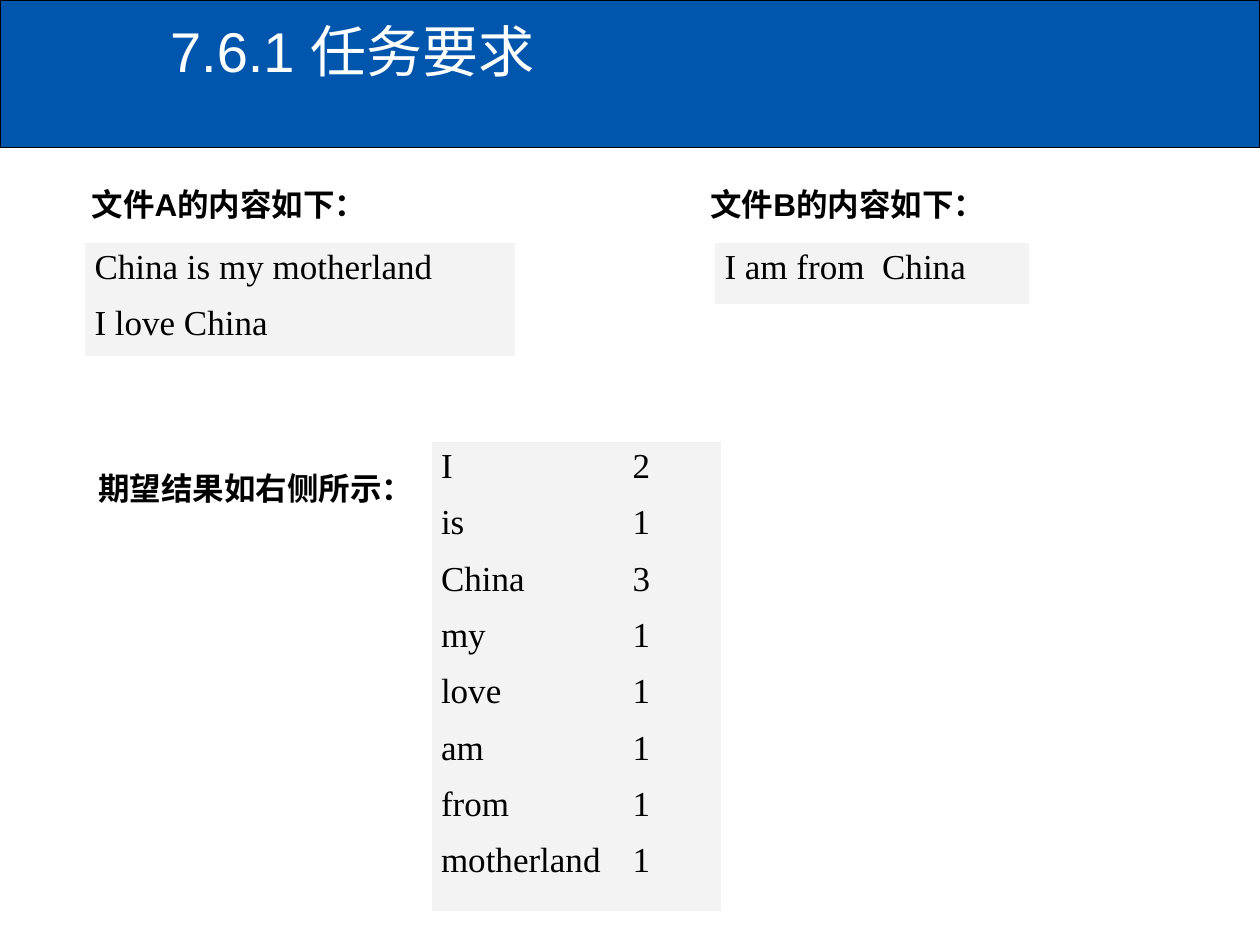
from lxml import etree
from pptx import Presentation
from pptx.dml.color import RGBColor
from pptx.enum import shapes, text
from pptx.oxml import ns
from pptx.util import Inches, Pt

COLORS = {"blue": "0056AC", "black": "000000", "white": "FFFFFF", "grey": "F3F3F3"}
WORD_COUNTS = [("I", 2), ("is", 1), ("China", 3), ("my", 1),
               ("love", 1), ("am", 1), ("from", 1), ("motherland", 1)]


def color(name):
    return RGBColor.from_string(COLORS[name])


def add_tab_stop(para, position):
    tabs = etree.SubElement(para._p.get_or_add_pPr(), ns.qn("a:tabLst"))
    etree.SubElement(tabs, ns.qn("a:tab"), pos=str(position), algn="l")


class SlideBuilder:
    heading_font = "Arial"
    file_font = "Times New Roman"

    def __init__(self, deck):
        self.page = deck.slides.add_slide(deck.slide_layouts[5])

    def style(self, para, font, size, ink, bold=False):
        for span in para.runs:
            span.font.name = font
            span.font.size = Pt(size)
            span.font.bold = bold
            span.font.color.rgb = color(ink)

    def band(self, width, height):
        box = self.page.shapes.add_shape(shapes.MSO_SHAPE.RECTANGLE, 0, 0, width, height)
        box.shadow.inherit = False
        box.fill.solid()
        box.fill.fore_color.rgb = color("blue")
        box.line.color.rgb = color("black")
        box.line.width = Pt(0.75)

    def title(self, words, left, top, width, height):
        box = self.page.shapes.title
        box.left, box.top, box.width, box.height = left, top, width, height
        frame = box.text_frame
        frame.text = words
        frame.vertical_anchor = text.MSO_ANCHOR.TOP
        para = frame.paragraphs[0]
        para.alignment = text.PP_ALIGN.LEFT
        self.style(para, self.heading_font, 32, "white")
        # The placeholder comes first by default; the band must lie behind it.
        self.page.shapes._spTree.append(box._element)

    def label(self, words, left, top, width):
        box = self.page.shapes.add_textbox(left, top, width, Inches(0.4))
        frame = box.text_frame
        frame.text = words
        frame.word_wrap = False
        frame.auto_size = text.MSO_AUTO_SIZE.SHAPE_TO_FIT_TEXT
        self.style(frame.paragraphs[0], self.heading_font, 18, "black", bold=True)

    def file_table(self, lines, left, top, width, height, tab=None):
        """Show the lines of a file in a one-cell grey table."""
        table = self.page.shapes.add_table(1, 1, left, top, width, height).table
        table.first_row = table.horz_banding = False
        cell = table.cell(0, 0)
        cell.fill.solid()
        cell.fill.fore_color.rgb = color("grey")
        cell.margin_left = cell.margin_right = Inches(0.08)
        cell.text_frame.text = "\n".join(lines)
        for index, para in enumerate(cell.text_frame.paragraphs):
            if tab:
                add_tab_stop(para, tab)
            para.alignment = text.PP_ALIGN.JUSTIFY
            para.space_before = Pt(5 if index else 0)
            para.space_after = Pt(5)
            self.style(para, self.file_font, 20, "black")


def main():
    deck = Presentation()
    deck.slide_width, deck.slide_height = Inches(10), Inches(7.5)
    slide = SlideBuilder(deck)

    slide.band(deck.slide_width, Inches(1.17))
    slide.title("7.6.1 任务要求", Inches(1.25), Inches(0.08), Inches(8.75), Inches(1))

    label_top, file_top = Inches(1.42), Inches(1.92)
    slide.label("文件A的内容如下：", Inches(0.63), label_top, Inches(2.5))
    slide.file_table(["China is my motherland", "I love China"],
                     Inches(0.67), file_top, Inches(3.42), Inches(0.91))
    slide.label("文件B的内容如下：", Inches(5.54), label_top, Inches(2.5))
    slide.file_table(["I am from  China"],
                     Inches(5.67), file_top, Inches(2.5), Inches(0.5))

    slide.label("期望结果如右侧所示：", Inches(0.68), Inches(3.67), Inches(2.7))
    slide.file_table([f"{word}\t{count}" for word, count in WORD_COUNTS],
                     Inches(3.42), Inches(3.5), Inches(2.31), Inches(3.74),
                     tab=Inches(1.52))
    deck.save("out.pptx")


if __name__ == "__main__":
    main()
